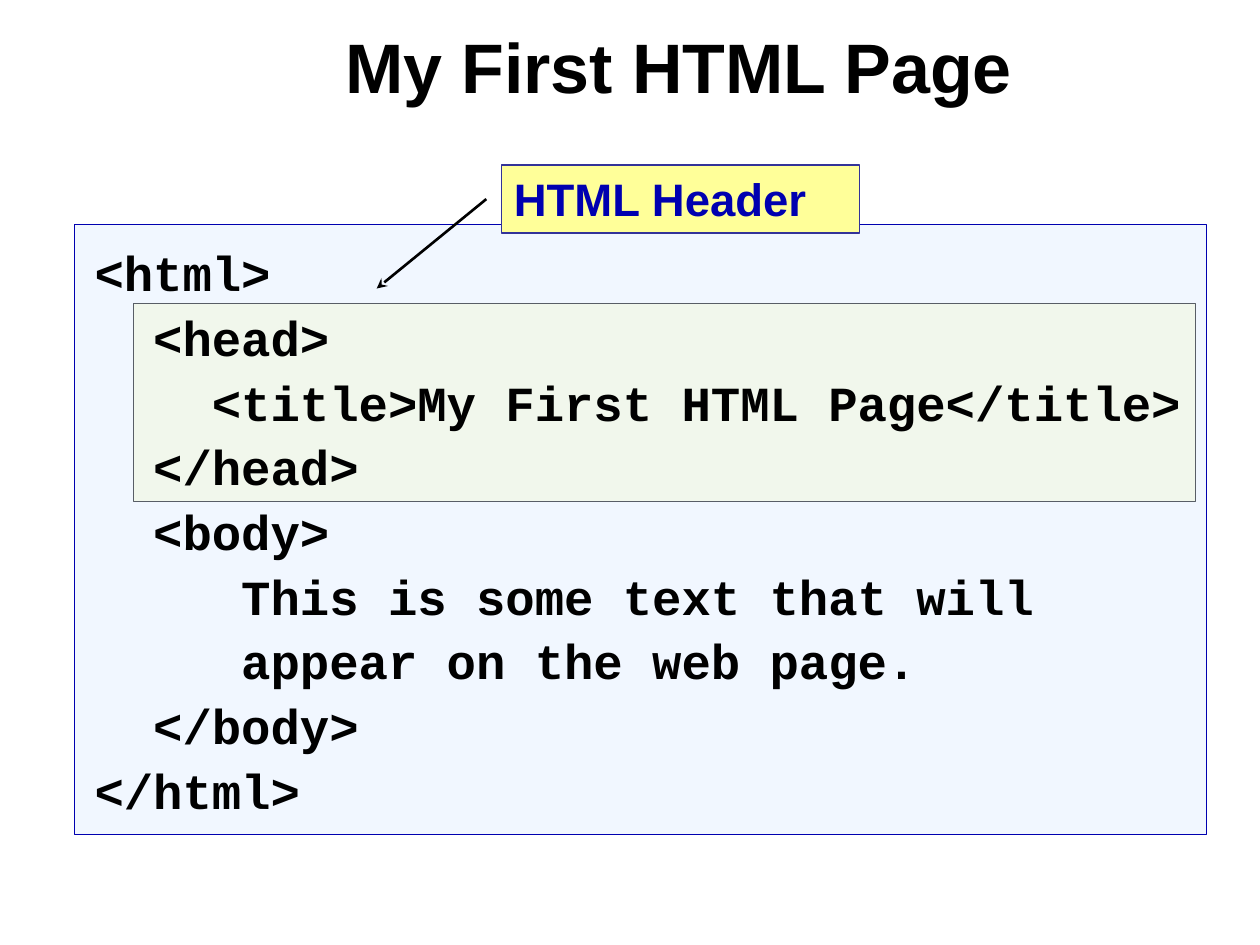
from lxml import etree
from pptx import Presentation
from pptx.dml.color import RGBColor
from pptx.enum.shapes import MSO_CONNECTOR as Conn, MSO_SHAPE as Kind
from pptx.enum.text import MSO_ANCHOR as Anchor, PP_ALIGN as Align
from pptx.oxml.ns import qn
from pptx.util import Inches, Pt

CODE = """<html>
  <head>
    <title>My First HTML Page</title>
  </head>
  <body>
     This is some text that will
     appear on the web page.
  </body>
</html>"""


def paint(part, color, alpha=100):
    """Give a fill a solid colour with an opacity in percent."""
    part.solid()
    part.fore_color.rgb = RGBColor.from_string(color)
    if alpha < 100:
        tone = part._xPr.find(qn("a:solidFill"))[0]
        etree.SubElement(tone, qn("a:alpha"), val=str(alpha * 1000))


def add_box(slide, box, fill, line, width, alpha=100):
    """Draw a flat rectangle with an outline."""
    shape = slide.shapes.add_shape(Kind.RECTANGLE, *map(Inches, box))
    shape.shadow.inherit = False
    paint(shape.fill, fill, alpha)
    paint(shape.line.fill, line)
    shape.line.width = Pt(width)
    return shape


def write(shape, text, font, color, frame, space=1.0):
    """Write lines of bold text into a shape."""
    body = shape.text_frame
    for key, value in frame.items():
        setattr(body, key, value)
    body.text = text
    for para in body.paragraphs:
        para.alignment = Align.LEFT
        para.line_spacing = space
        for key, value in font.items():
            setattr(para.font, key, value)
        paint(para.font.fill, color)


def add_title(slide, box):
    """Place the slide title."""
    shape = slide.shapes.add_textbox(*map(Inches, box))
    font = {"name": "Arial", "size": Pt(40), "bold": True}
    frame = {"word_wrap": True, "vertical_anchor": Anchor.MIDDLE}
    write(shape, "My First HTML Page", font, "000000", frame, 0.85)


def add_code(slide, box):
    """Place the page listing with its head part marked."""
    left, top, wide, _ = box
    head = left + 0.47, top + 0.63, wide - 0.55, 1.57
    add_box(slide, head, "FFFF99", "000000", 0.75, 30)
    shape = add_box(slide, box, "DDECFF", "0000B0", 0.25, 40)
    font = {"name": "Courier New", "size": Pt(28), "bold": True}
    frame = {
        "word_wrap": True,
        "vertical_anchor": Anchor.TOP,
        "margin_left": Inches(0.16),
        "margin_right": Inches(0.16),
        "margin_top": Inches(0.1),
        "margin_bottom": Inches(0.12),
    }
    write(shape, CODE, font, "000000", frame, 1.1)


def add_label(slide, box):
    """Place the callout and its arrow to the head part."""
    shape = add_box(slide, box, "FFFF99", "333399", 0.75)
    font = {"name": "Arial", "size": Pt(26), "bold": True}
    frame = {"word_wrap": True, "vertical_anchor": Anchor.TOP}
    write(shape, "HTML Header", font, "0000B0", frame)
    left, top = box[:2]
    ends = left - 0.12, top + 0.27, left - 0.99, top + 0.98
    arrow = slide.shapes.add_connector(Conn.STRAIGHT, *map(Inches, ends))
    paint(arrow.line.fill, "000000")
    arrow.line.width = Pt(1.5)
    etree.SubElement(arrow.line._get_or_add_ln(), qn("a:tailEnd"), type="stealth")
    etree.SubElement(arrow._element.spPr, qn("a:effectLst"))


def main():
    """Build the slide and save it."""
    deck = Presentation()
    deck.slide_width, deck.slide_height = Inches(10), Inches(7.5)
    slide = deck.slides.add_slide(deck.slide_layouts[6])
    add_code(slide, (0.59, 1.78, 8.98, 4.84))
    add_title(slide, (2.64, 0.08, 7.17, 0.99))
    add_label(slide, (3.98, 1.31, 2.84, 0.54))
    deck.save("out.pptx")


if __name__ == "__main__":
    main()
